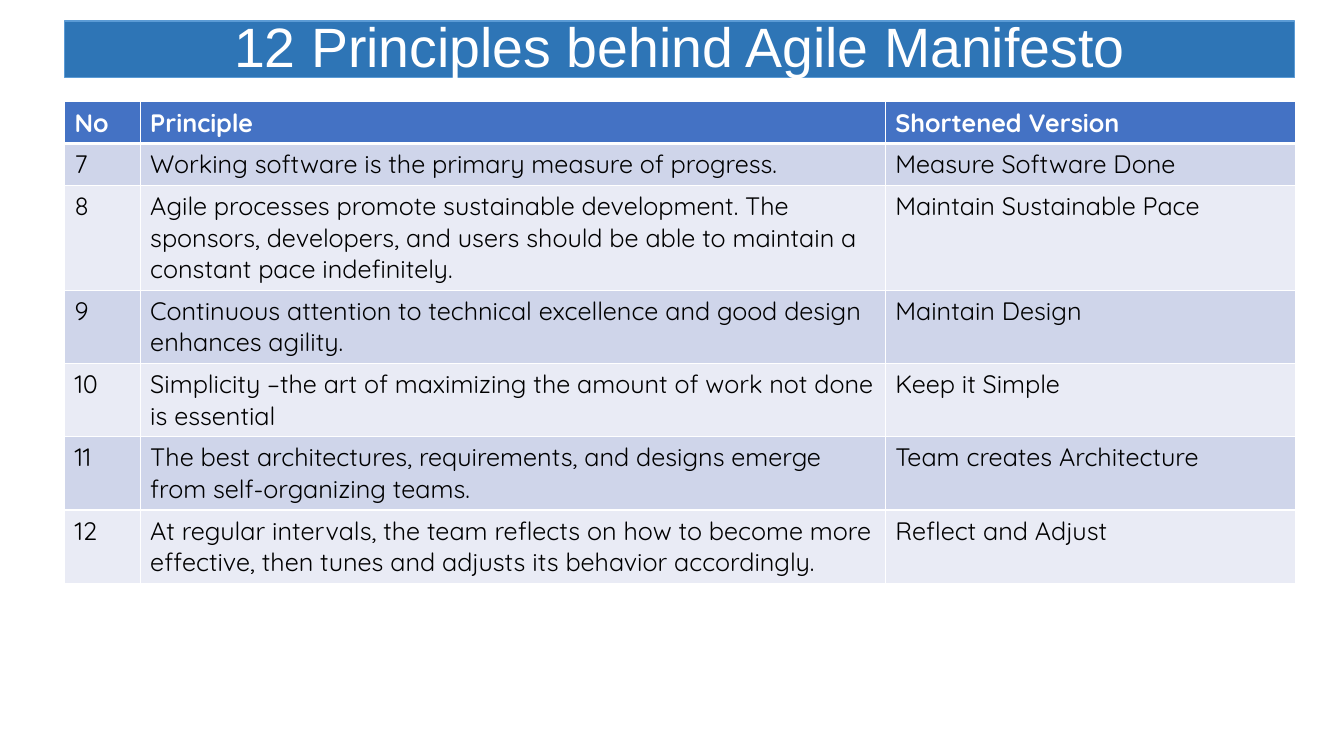
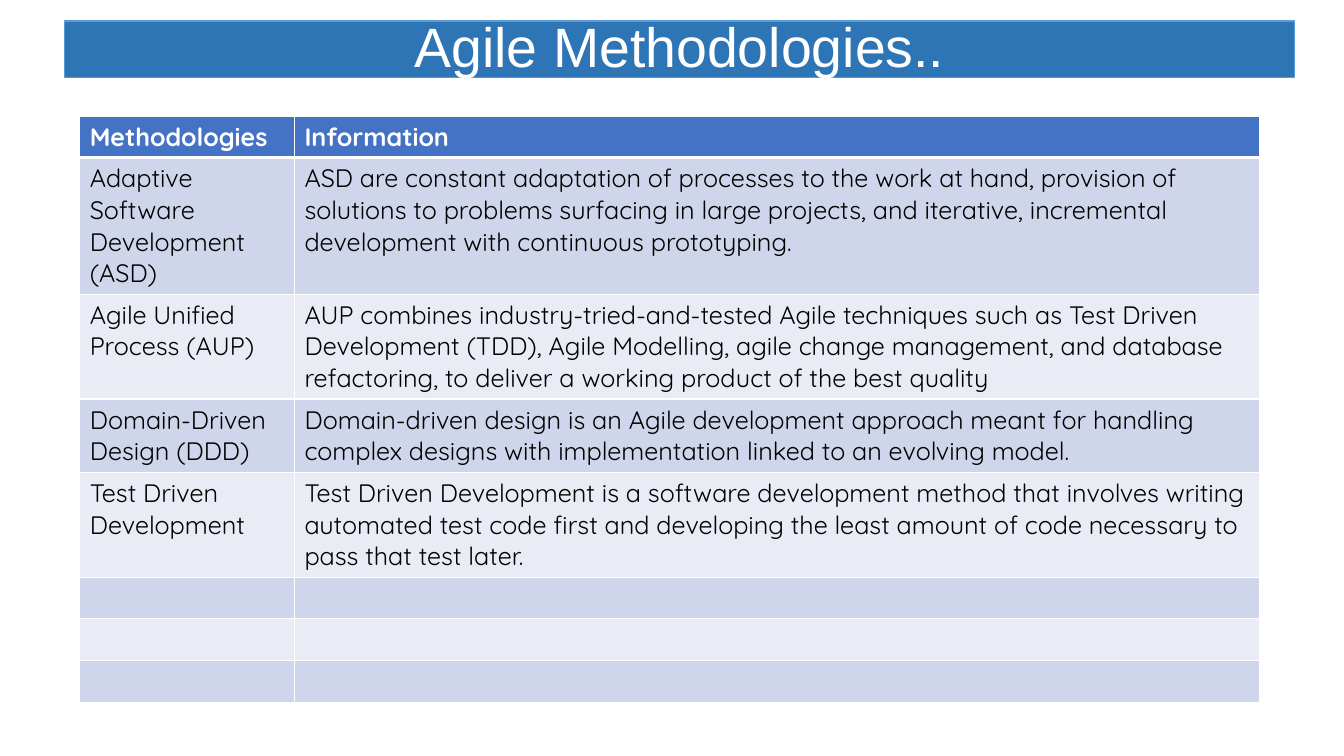
"""Build two Agile slides, each with a title band and a banded table."""
import lxml.etree
import pptx
import pptx.dml.color
import pptx.enum.shapes
import pptx.enum.text
import pptx.oxml.ns
import pptx.util

Inches = pptx.util.Inches
Pt = pptx.util.Pt

WHITE, BLACK = "FFFFFF", "000000"
BAND_FILL, BAND_LINE = "2E75B6", "5B9BD5"
HEADER_FILL = "4472C4"
ROW_FILLS = ("CFD5EA", "E9EBF5")
TITLE_FONT, TABLE_FONT = "Arial", "Quicksand"
ROW_HEIGHT = 0.41

SLIDES = [
    {
        "title": "12 Principles behind Agile Manifesto",
        "table_at": (0.64, 1.01),
        "columns": (0.75, 7.39, 4.07),
        "rows": [
            ("No", "Principle", "Shortened Version"),
            ("7", "Working software is the primary measure of progress.",
             "Measure Software Done"),
            ("8", "Agile processes promote sustainable development. The sponsors, developers, "
             "and users should be able to maintain a constant pace indefinitely.",
             "Maintain Sustainable Pace"),
            ("9", "Continuous attention to technical excellence and good design enhances agility.",
             "Maintain Design"),
            ("10", "Simplicity –the art of maximizing the amount of work not done is essential",
             "Keep it Simple"),
            ("11", "The best architectures, requirements, and designs emerge from "
             "self-organizing teams.",
             "Team creates Architecture"),
            ("12", "At regular intervals, the team reflects on how to become more effective, "
             "then tunes and adjusts its behavior accordingly.",
             "Reflect and Adjust"),
        ],
    },
    {
        "title": "Agile Methodologies..",
        "table_at": (0.79, 1.15),
        "columns": (2.13, 9.57),
        "rows": [
            ("Methodologies", "Information"),
            ("Adaptive Software Development (ASD)",
             "ASD are constant adaptation of processes to the work at hand, provision of "
             "solutions to problems surfacing in large projects, and iterative, incremental "
             "development with continuous prototyping."),
            ("Agile Unified Process (AUP)",
             "AUP combines industry-tried-and-tested Agile techniques such as Test Driven "
             "Development (TDD), Agile Modelling, agile change management, and database "
             "refactoring, to deliver a working product of the best quality"),
            ("Domain-Driven Design (DDD)",
             "Domain-driven design is an Agile development approach meant for handling complex "
             "designs with implementation linked to an evolving model."),
            ("Test Driven Development",
             "Test Driven Development is a software development method that involves writing "
             "automated test code first and developing the least amount of code necessary to "
             "pass that test later."),
            ("", ""),
            ("", ""),
            ("", ""),
        ],
    },
]


def color(value):
    return pptx.dml.color.RGBColor.from_string(value)


def paint(fill, value):
    fill.solid()
    fill.fore_color.rgb = color(value)


def set_font(paragraph, name, size, value, bold=False):
    font = paragraph.font
    font.name, font.size, font.bold = name, Pt(size), bold
    font.color.rgb = color(value)


def add_title(slide, text):
    band = slide.shapes.add_shape(
        pptx.enum.shapes.MSO_SHAPE.RECTANGLE,
        Inches(0.64), Inches(0.21), Inches(12.2), Inches(0.56))
    band.shadow.inherit = False
    paint(band.fill, BAND_FILL)
    band.line.color.rgb = color(BAND_LINE)
    band.line.width = Pt(1)
    frame = band.text_frame
    frame.word_wrap = True
    frame.vertical_anchor = pptx.enum.text.MSO_ANCHOR.MIDDLE
    paragraph = frame.paragraphs[0]
    paragraph.text = text
    paragraph.alignment = pptx.enum.text.PP_ALIGN.CENTER
    paragraph.line_spacing = 0.9
    set_font(paragraph, TITLE_FONT, 39.6, WHITE)


def add_borders(cell, top, bottom):
    qn = pptx.oxml.ns.qn
    properties = cell._tc.get_or_add_tcPr()
    for side, width in (("L", 1), ("R", 1), ("T", top), ("B", bottom)):
        line = lxml.etree.SubElement(properties, qn(f"a:ln{side}"), w=str(Pt(width)))
        fill = lxml.etree.SubElement(line, qn("a:solidFill"))
        lxml.etree.SubElement(fill, qn("a:srgbClr"), val=WHITE)


def add_table(slide, position, columns, rows):
    left, top = position
    table = slide.shapes.add_table(
        len(rows), len(columns), Inches(left), Inches(top),
        Inches(sum(columns)), Inches(ROW_HEIGHT * len(rows))).table
    for column, width in zip(table.columns, columns):
        column.width = Inches(width)
    for row_index, texts in enumerate(rows):
        table.rows[row_index].height = Inches(ROW_HEIGHT)
        header = row_index == 0
        for column_index, text in enumerate(texts):
            cell = table.cell(row_index, column_index)
            add_borders(cell, 3 if row_index == 1 else 1, 3 if header else 1)
            paint(cell.fill, HEADER_FILL if header else ROW_FILLS[(row_index - 1) % 2])
            paragraph = cell.text_frame.paragraphs[0]
            paragraph.text = text
            set_font(paragraph, TABLE_FONT, 18, WHITE if header else BLACK, header)


def main():
    presentation = pptx.Presentation()
    presentation.slide_width = Inches(13.33)
    presentation.slide_height = Inches(7.5)
    for content in SLIDES:
        slide = presentation.slides.add_slide(presentation.slide_layouts[6])
        add_title(slide, content["title"])
        add_table(slide, content["table_at"], content["columns"], content["rows"])
    presentation.save("out.pptx")


if __name__ == "__main__":
    main()
